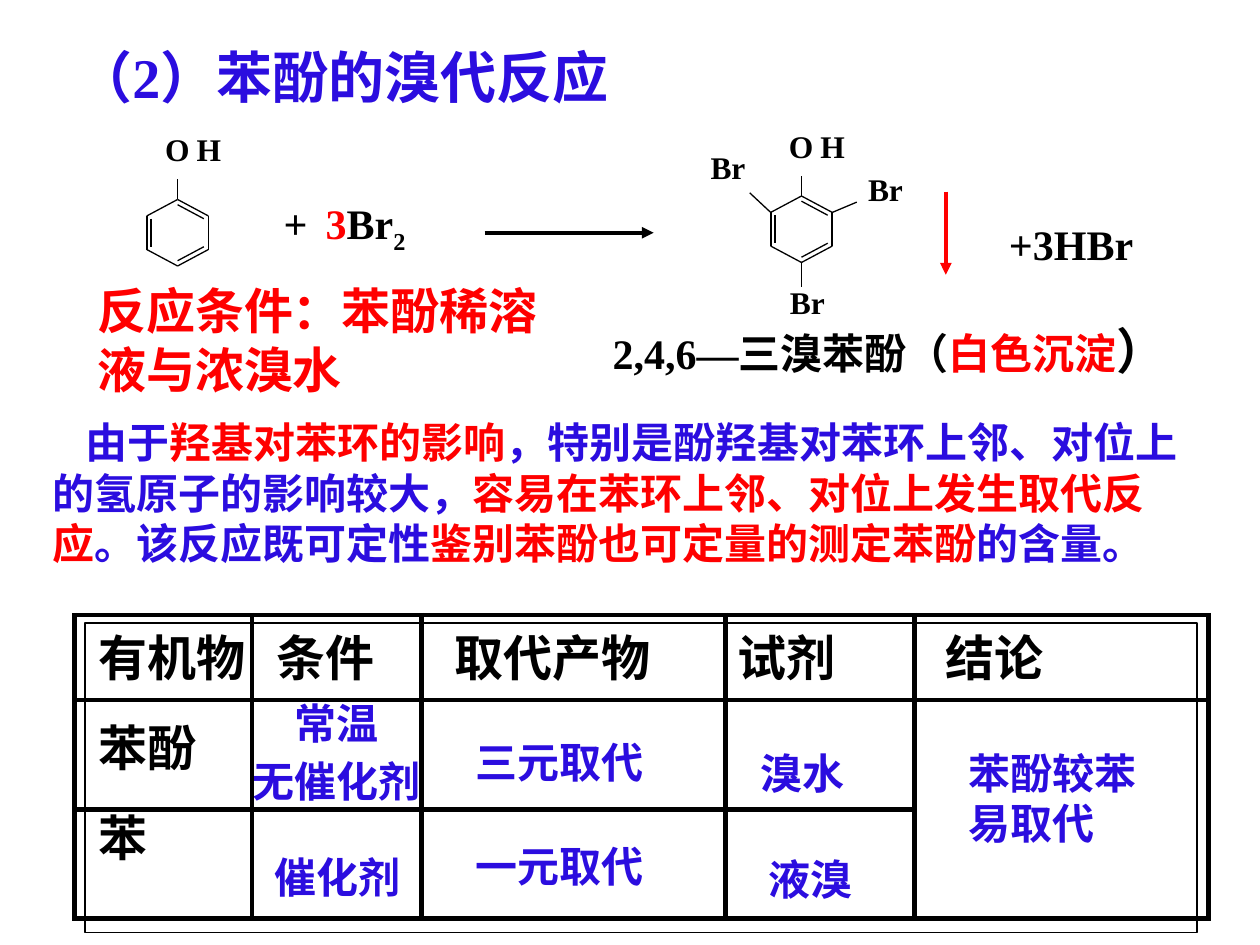
from lxml.etree import SubElement
from pptx import Presentation
from pptx.dml.color import RGBColor
from pptx.enum.shapes import MSO_CONNECTOR, MSO_SHAPE
from pptx.enum.text import PP_ALIGN
from pptx.oxml.ns import qn
from pptx.util import Pt

COLORS = {"blue": "2B0DDF", "red": "FF0000", "black": "000000"}
SERIF, SANS = "Times New Roman", "Noto Sans CJK SC"

# Each text: left, top, width, height, format of the box, spans (text, color, changes)
TEXTS = [
    (36.5, 20.5, 396, 46, {"size": 32}, [("（2）苯酚的溴代反应", "blue", {})]),
    (155, 109.5, 103, 40, {"tab": 24},
     [("+\t", "black", {}), ("3", "red", {}), ("Br", "black", {}),
      ("2", "black", {"baseline": -25000})]),
    (569.5, 121.5, 100, 36, {}, [("+3HBr", "black", {})]),
    (343, 179.5, 346.5, 41, {},
     [("2,4,6—三溴苯酚（", "black", {}), ("白色沉淀", "red", {}),
      ("）", "black", {"size": 28})]),
    (48.5, 157, 289, 75, {"size": 28}, [("反应条件：苯酚稀溶液与浓溴水", "red", {})]),
    (23, 234.5, 672, 98.5, {"font": SANS, "indent": 19},
     [("由于", "blue", {}), ("羟基对苯环的影响", "red", {}),
      ("，特别是酚羟基对苯环上邻、对位上的氢原子的影响较大，", "blue", {}),
      ("容易在苯环上邻、对位上发生取代反应", "red", {}),
      ("。该反应既可定性", "blue", {}),
      ("鉴别苯酚也可定量的测定苯酚", "red", {}), ("的含量。", "blue", {})]),
]

# Ring geometry, as offsets from the centre of the ring
TOP, UPPER_RIGHT, LOWER_RIGHT = (0, -19), (17.6, -9.6), (17.6, 9.6)
BOTTOM, LOWER_LEFT, UPPER_LEFT = (0, 19), (-17.6, 9.6), (-17.6, -9.6)
CORNERS = [TOP, UPPER_RIGHT, LOWER_RIGHT, BOTTOM, LOWER_LEFT, UPPER_LEFT]
DOUBLE_BONDS = [((-15, -8), (-15, 8)), ((0, 16), (15, 8)), ((15, -8), (0, -16))]
HYDROXYL_BOND = (TOP, (0, -30.5))
HYDROXYL = [("O", -7.2, -58.5), ("H", 10.8, -58.5)]

# Each molecule: centre, bonds to its groups, group labels with offsets
MOLECULES = [
    ((101.5, 133), [HYDROXYL_BOND], HYDROXYL),
    ((458, 131),
     [HYDROXYL_BOND, (UPPER_RIGHT, (31.6, -15.5)), (BOTTOM, (0, 33)),
      (UPPER_LEFT, (-29.6, -20.8))],
     HYDROXYL + [("Br", 38, -34), ("Br", -6.6, 31), ("Br", -52, -46.5)]),
]
ARROWS = [((277, 133), (373.5, 133), "black"), ((540.5, 109.5), (540.5, 157), "red")]

# Table: each cell holds its lines, left margin and top margin
TABLE_LEFT, TABLE_TOP = 42.5, 351.5
COLUMN_WIDTHS = [101.5, 97, 173.5, 108, 168]
ROW_HEIGHTS = [48.5, 62.5, 62.5]
ROWS = [
    [(["有机物"], 14, 9), (["条件"], 14, 9), (["取代产物"], 19, 9),
     (["试剂"], 7, 9), (["结论"], 18, 9)],
    [(["苯酚"], 14, 12), (["常温", "无催化剂"], 0, 0.5), (["三元取代"], 31, 23),
     (["溴水"], 20, 29), (["苯酚较苯", "易取代"], 31, 29)],
    [(["苯"], 14, 1), (["催化剂"], 13, 26), (["一元取代"], 31, 20),
     (["液溴"], 25, 27)],
]
CONDITION_CELL, CONCLUSION_CELL = (1, 1), (1, 4)
HEADING_SIZE, HEADING_PITCH = 28, 34
BODY_SIZE, BODY_PITCH = 24, 29


def rgb(name):
    return RGBColor.from_string(COLORS[name])


def add_span(para, text, color, size=24, font=SERIF, baseline=None):
    span = para.add_run()
    span.text = text
    for name, value in {"name": font, "size": Pt(size), "bold": True}.items():
        setattr(span.font, name, value)
    span.font.color.rgb = rgb(color)
    if baseline:
        span.font._element.set("baseline", str(baseline))


def add_text(page, left, top, width, height, spans, size=24, font=SERIF,
             wrap=True, margins=(7.2, 3.6), indent=0, tab=None):
    frame = page.shapes.add_textbox(Pt(left), Pt(top), Pt(width), Pt(height)).text_frame
    across, down = map(Pt, margins)
    settings = {"word_wrap": wrap, "margin_left": across, "margin_right": across,
                "margin_top": down, "margin_bottom": down}
    for name, value in settings.items():
        setattr(frame, name, value)
    para = frame.paragraphs[0]
    properties = para._p.get_or_add_pPr()
    properties.set("hangingPunct", "0")
    if indent:
        properties.set("indent", str(Pt(indent)))
    if tab:
        stops = SubElement(properties, qn("a:tabLst"))
        SubElement(stops, qn("a:tab"), pos=str(Pt(tab)), algn="l")
    for text, color, changes in spans:
        add_span(para, text, color, **{"size": size, "font": font, **changes})


def add_line(page, start, end, width, color="black", arrow=False):
    line = page.shapes.add_connector(
        MSO_CONNECTOR.STRAIGHT, *(Pt(value) for value in (*start, *end)))
    line.line.width = Pt(width)
    line.line.color.rgb = rgb(color)
    if arrow:
        SubElement(line.line._get_or_add_ln(), qn("a:tailEnd"), type="triangle")
    SubElement(line._element.spPr, qn("a:effectLst"))


def add_molecule(page, center, bonds, labels):
    def place(offset):
        return center[0] + offset[0], center[1] + offset[1]

    ring = list(zip(CORNERS, CORNERS[1:] + CORNERS[:1]))
    for start, end in ring + DOUBLE_BONDS + bonds:
        add_line(page, place(start), place(end), 1 if start[0] == end[0] else 0.75)
    for text, *offset in labels:
        add_text(page, *place(offset), 10 * len(text) + 4, 21.6,
                 [(text, "black", {})], size=18, wrap=False, margins=(0, 0))


def set_borders(cell):
    """Rule all sides, except the hidden edge inside a merged cell."""
    properties = cell._tc.get_or_add_tcPr()
    for side in "LRTB":
        if side == "T" and cell.is_spanned:
            continue
        border = SubElement(properties, qn(f"a:ln{side}"), w=str(Pt(3)))
        fill = SubElement(border, qn("a:solidFill"))
        SubElement(fill, qn("a:srgbClr"), val=COLORS["black"])
    cell.fill.background()


def fill_cell(cell, position, lines, left, top):
    heading = 0 in position
    color = "black" if heading else "blue"
    size = HEADING_SIZE if heading else BODY_SIZE
    margins = {"margin_left": left, "margin_top": top,
               "margin_right": 0, "margin_bottom": 0}
    for name, value in margins.items():
        setattr(cell, name, Pt(value))
    frame = cell.text_frame
    for index, text in enumerate(lines):
        para = frame.add_paragraph() if index else frame.paragraphs[0]
        para.line_spacing = Pt(HEADING_PITCH if heading else BODY_PITCH)
        if position == CONDITION_CELL:
            para.alignment = PP_ALIGN.CENTER
            para.space_before = Pt(4 if index else 0)
        add_span(para, text, color, size)


def add_comparison(page):
    frame = page.shapes.add_shape(MSO_SHAPE.RECTANGLE, Pt(48.5), Pt(356), Pt(635.5), Pt(177))
    frame.shadow.inherit = False
    frame.fill.background()
    frame.line.width = Pt(0.75)
    frame.line.color.rgb = rgb("black")

    table = page.shapes.add_table(
        len(ROW_HEIGHTS), len(COLUMN_WIDTHS), Pt(TABLE_LEFT), Pt(TABLE_TOP),
        Pt(sum(COLUMN_WIDTHS)), Pt(sum(ROW_HEIGHTS))).table
    table.first_row = table.horz_banding = False
    for column, width in zip(table.columns, COLUMN_WIDTHS):
        column.width = Pt(width)
    for row, height in zip(table.rows, ROW_HEIGHTS):
        row.height = Pt(height)
    table.cell(*CONCLUSION_CELL).merge(table.cell(2, 4))
    for cell in table.iter_cells():
        set_borders(cell)
    for row, cells in enumerate(ROWS):
        for column, content in enumerate(cells):
            fill_cell(table.cell(row, column), (row, column), *content)


def main():
    deck = Presentation()
    deck.slide_width, deck.slide_height = Pt(720), Pt(540)
    page = deck.slides.add_slide(deck.slide_layouts[6])
    for left, top, width, height, settings, spans in TEXTS:
        add_text(page, left, top, width, height, spans, **settings)
    for molecule in MOLECULES:
        add_molecule(page, *molecule)
    for start, end, color in ARROWS:
        add_line(page, start, end, 2.25, color, arrow=True)
    add_comparison(page)
    deck.save("out.pptx")


if __name__ == "__main__":
    main()
